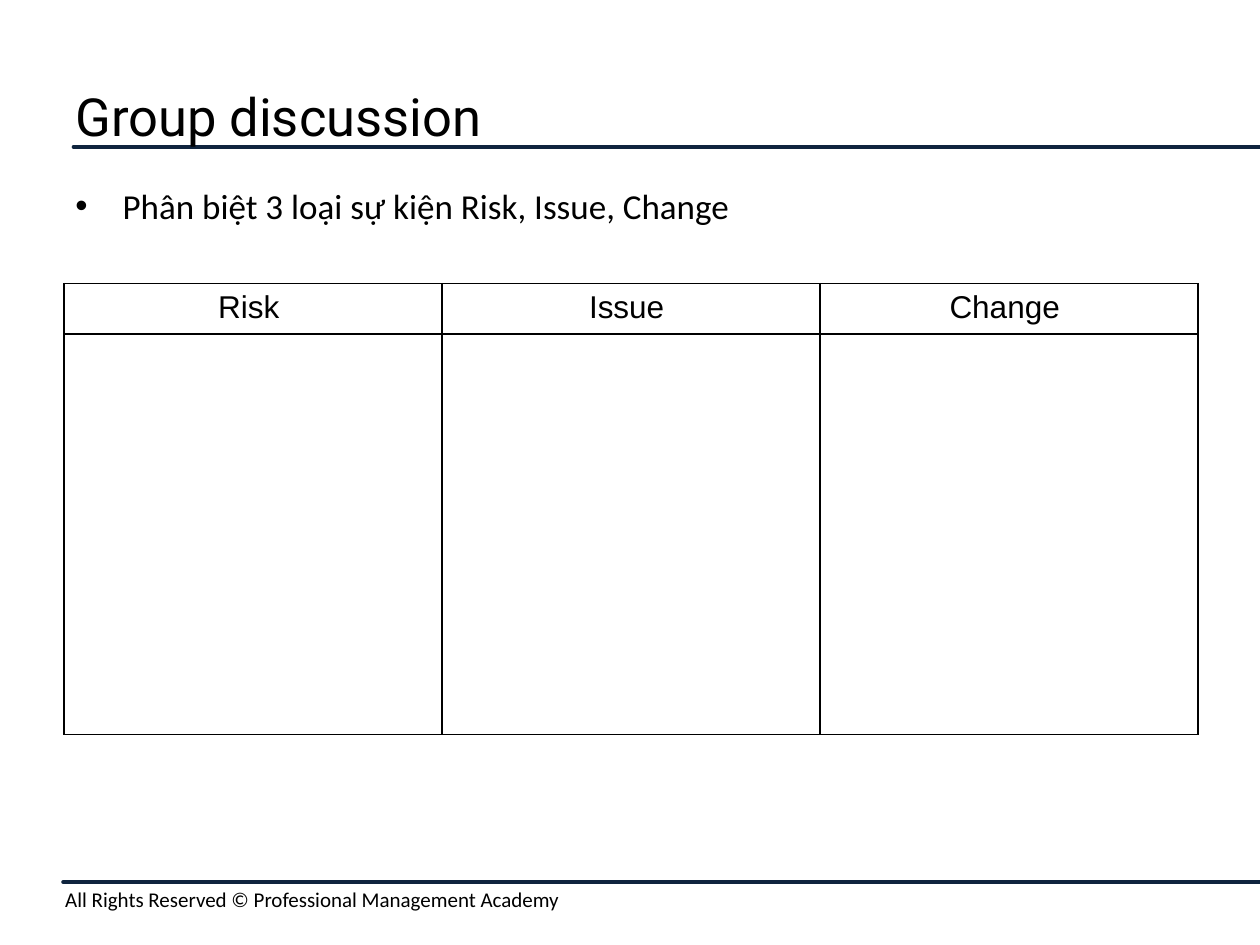
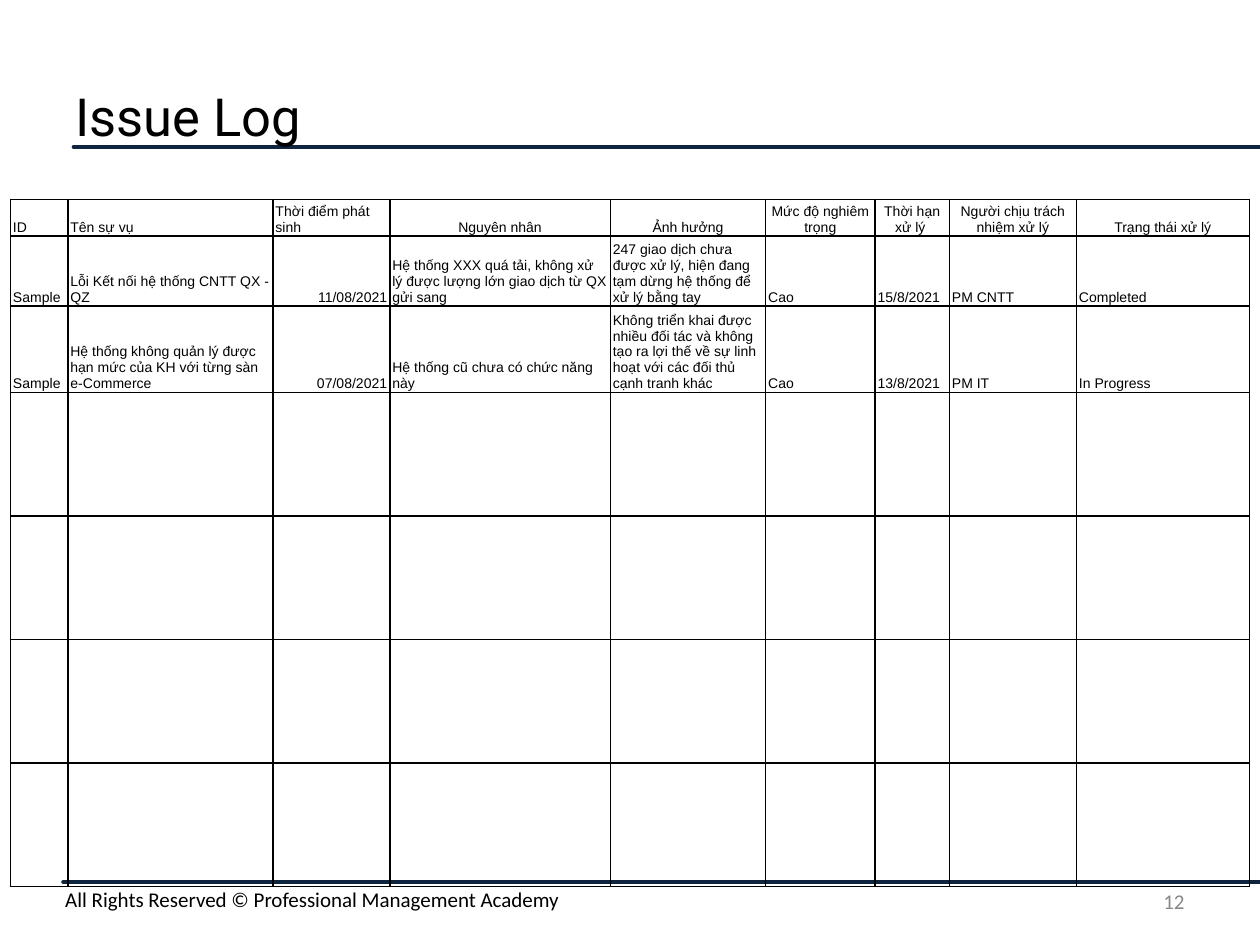
"""Builds two training slides: a group discussion table and an issue log."""
from lxml import etree
from pptx import Presentation
from pptx.dml.color import RGBColor
from pptx.enum import shapes, text
from pptx.oxml import ns
from pptx.util import Pt

COLOURS = {"rule": "0F243E", "ink": "000000", "page_number": "888888"}
LEFT, CENTRE, RIGHT = text.PP_ALIGN.LEFT, text.PP_ALIGN.CENTER, text.PP_ALIGN.RIGHT
TOP, MIDDLE, BOTTOM = text.MSO_ANCHOR.TOP, text.MSO_ANCHOR.MIDDLE, text.MSO_ANCHOR.BOTTOM

FORMATS = {
    "title": {"name": "Roboto", "size": Pt(30)},
    "body": {"name": "Calibri", "size": Pt(20)},
    "footer": {"name": "Calibri", "size": Pt(12)},
    "discussion": {"name": "Arial", "size": Pt(18)},
    "log": {"name": "Arial", "size": Pt(8)},
}
RULES = [(42, 84), (36, 504)]
FOOTER = "All Rights Reserved © Professional Management Academy"

ISSUE_ROWS = [
    ["ID", "Tên sự vụ", "Thời điểm phát sinh", "Nguyên nhân", "Ảnh hưởng",
     "Mức độ nghiêm trọng", "Thời hạn xử lý ", "Người chịu trách nhiệm xử lý",
     "Trạng thái xử lý"],
    ["Sample", "Lỗi Kết nối hệ thống CNTT QX - QZ", "11/08/2021",
     "Hệ thống XXX quá tải, không xử lý được lượng lớn giao dịch từ QX gửi sang",
     "247 giao dịch chưa được xử lý, hiện đang tạm dừng hệ thống để xử lý bằng tay",
     "Cao", "15/8/2021", "PM CNTT", "Completed"],
    ["Sample", "Hệ thống không quản lý được hạn mức của KH với từng sàn e-Commerce",
     "07/08/2021", "Hệ thống cũ chưa có chức năng này",
     "Không triển khai được nhiều đối tác và không tạo ra lợi thế về sự linh hoạt "
     "với các đối thủ cạnh tranh khác",
     "Cao", "13/8/2021", "PM IT", "In Progress"],
] + [[""] * 9] * 4

TABLES = [
    {"left": 36.6, "top": 162, "widths": [216] * 3, "heights": [27.4, 229],
     "rows": [["Risk ", "Issue ", "Change "], [""] * 3],
     "format": "discussion", "anchor": TOP, "margins": (7.2, 3.6),
     "header": [CENTRE] * 3, "content": [LEFT] * 3},
    {"left": 6, "top": 114,
     "widths": [32.8, 117.2, 66.8, 126, 88.8, 62.5, 42.5, 72.6, 98.8],
     "heights": [21, 40, 49.4] + [70.6] * 4, "rows": ISSUE_ROWS,
     "format": "log", "anchor": BOTTOM, "margins": (1.44, 0.72),
     "header": [LEFT] * 3 + [CENTRE] * 6, "content": [LEFT] * 2 + [RIGHT] + [LEFT] * 6},
]


def write(frame, words, style, colour="ink", align=LEFT, anchor=TOP, margins=(7.2, 3.6)):
    """Fill a text box or table cell and return its paragraph."""
    across, down = Pt(margins[0]), Pt(margins[1])
    layout = {"margin_left": across, "margin_right": across, "margin_top": down,
              "margin_bottom": down, "vertical_anchor": anchor, "word_wrap": True}
    for name, value in layout.items():
        setattr(frame, name, value)
    paragraph = getattr(frame, "text_frame", frame).paragraphs[0]
    paragraph.alignment = align
    font = paragraph.font
    if words:
        run = paragraph.add_run()
        run.text = words
        font = run.font
    for name, value in FORMATS[style].items():
        setattr(font, name, value)
    font.color.rgb = RGBColor.from_string(COLOURS[colour])
    return paragraph


def add_text(slide, box, words, style, **options):
    """Place a text box measured in points."""
    shape = slide.shapes.add_textbox(*map(Pt, box))
    return write(shape.text_frame, words, style, **options)


presentation = Presentation()
presentation.slide_width, presentation.slide_height = Pt(720), Pt(540)
slides = []

for title, grid in zip(["Group discussion", "Issue Log"], TABLES):
    slide = presentation.slides.add_slide(presentation.slide_layouts[6])
    slides.append(slide)

    for left, height in RULES:
        rule = slide.shapes.add_connector(
            shapes.MSO_CONNECTOR.STRAIGHT, Pt(left), Pt(height), Pt(720), Pt(height))
        rule.line.width = Pt(2)
        rule.line.color.rgb = RGBColor.from_string(COLOURS["rule"])
        rule.line._get_or_add_ln().set("cap", "rnd")
        etree.SubElement(rule._element.spPr, ns.qn("a:effectLst"))

    add_text(slide, (30.2, 503.3, 689.8, 21.6), FOOTER, "footer")
    add_text(slide, (36, 36, 648, 60), title, "title", anchor=MIDDLE)

    table = slide.shapes.add_table(
        len(grid["heights"]), len(grid["widths"]), Pt(grid["left"]), Pt(grid["top"]),
        Pt(sum(grid["widths"])), Pt(sum(grid["heights"]))).table
    table.first_row = table.horz_banding = False
    for column, width in zip(table.columns, grid["widths"]):
        column.width = Pt(width)
    for row, height in zip(table.rows, grid["heights"]):
        row.height = Pt(height)

    for row_index, row in enumerate(grid["rows"]):
        alignments = grid["content"] if row_index else grid["header"]
        for column_index, words in enumerate(row):
            cell = table.cell(row_index, column_index)
            write(cell, words, grid["format"], align=alignments[column_index],
                  anchor=grid["anchor"], margins=grid["margins"])
            properties = cell._tc.get_or_add_tcPr()
            for side in ("lnL", "lnR", "lnT", "lnB"):
                border = etree.SubElement(properties, ns.qn(f"a:{side}"), w=str(Pt(1)))
                fill = etree.SubElement(border, ns.qn("a:solidFill"))
                etree.SubElement(fill, ns.qn("a:srgbClr"), val=COLOURS["ink"])
            cell.fill.background()

discussion, issue_log = slides
task = add_text(discussion, (36, 102, 648, 36),
                "Phân biệt 3 loại sự kiện Risk, Issue, Change", "body")
task_properties = task._p.get_or_add_pPr()
task_properties.set("marL", str(Pt(27)))
task_properties.set("indent", str(-Pt(27)))
etree.SubElement(task_properties, ns.qn("a:buFont"), typeface="Arial")
etree.SubElement(task_properties, ns.qn("a:buChar"), char="•")

add_text(issue_log, (516, 500.4, 168, 28.8), "12", "footer",
         colour="page_number", align=RIGHT, anchor=MIDDLE)

presentation.save("out.pptx")
